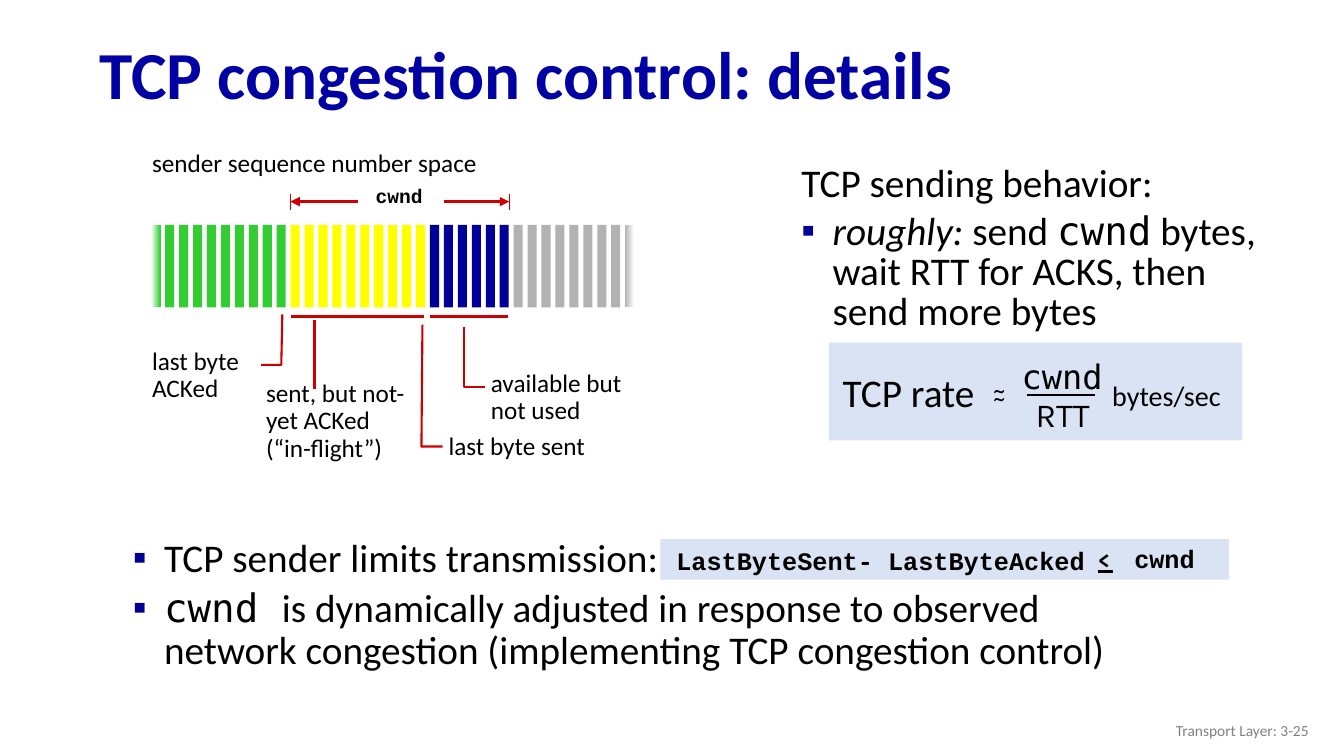
from dataclasses import dataclass
from lxml import etree
from pptx import Presentation
from pptx.dml.color import RGBColor
from pptx.enum.shapes import MSO_CONNECTOR, MSO_SHAPE
from pptx.enum.text import MSO_ANCHOR, PP_ALIGN
from pptx.oxml.ns import qn
from pptx.util import Inches, Pt

STRAIGHT, RECTANGLE = MSO_CONNECTOR.STRAIGHT, MSO_SHAPE.RECTANGLE
TOP, MIDDLE = MSO_ANCHOR.TOP, MSO_ANCHOR.MIDDLE
LEFT, CENTER, RIGHT = PP_ALIGN.LEFT, PP_ALIGN.CENTER, PP_ALIGN.RIGHT

BLACK = RGBColor(0x00, 0x00, 0x00)
WHITE = RGBColor(0xFF, 0xFF, 0xFF)
TITLE_BLUE = RGBColor(0x00, 0x00, 0xA3)
NAVY = RGBColor(0x00, 0x00, 0x99)
GREEN = RGBColor(0x33, 0xCC, 0x33)
YELLOW = RGBColor(0xFF, 0xFF, 0x00)
SILVER = RGBColor(0xB2, 0xB2, 0xB2)
GRAY = RGBColor(0x80, 0x80, 0x80)
PALE_BLUE = RGBColor(0xDA, 0xE3, 0xF3)
RED = RGBColor(0xCC, 0x00, 0x00)

BODY, CODE, MONO, SYMBOL = "Calibri", "Courier New", "DejaVu Sans Mono", "Karla"
CELL = Inches(0.1)


@dataclass
class Region:
    """A box on the slide, measured in grid cells."""
    shapes: object
    left: float
    top: float
    width: float
    height: float

    def point(self, x, y):
        """Turn a cell position inside the region into slide lengths."""
        return round((self.left + x) * CELL), round((self.top + y) * CELL)

    def frame(self, x, y, width, height):
        """Turn a box of cells inside the region into slide lengths."""
        return *self.point(x, y), round(width * CELL), round(height * CELL)


def add_bullet(paragraph):
    """Put a square navy bullet on a paragraph with a hanging indent."""
    properties = paragraph._p.get_or_add_pPr()
    properties.set("marL", str(Inches(0.31)))
    properties.set("indent", str(-Inches(0.31)))
    color = etree.SubElement(properties, qn("a:buClr"))
    etree.SubElement(color, qn("a:srgbClr"), val=str(NAVY))
    etree.SubElement(properties, qn("a:buFont"), typeface="Wingdings 2")
    properties[-1].set("typeface", "Arial")
    etree.SubElement(properties, qn("a:buChar"), char="▪")


def format_font(font, size, name, color, bold=False, italic=False):
    """Set the look of a font."""
    font.size, font.name, font.bold, font.italic = Pt(size), name, bold, italic
    font.color.rgb = color


def add_label(region, box, text, size=18, font=BODY, color=BLACK, bold=False,
              align=LEFT, anchor=TOP, spacing=1.0, wrap=True):
    """Add text in one style, one paragraph a line."""
    frame = region.shapes.add_textbox(*region.frame(*box)).text_frame
    frame.word_wrap, frame.vertical_anchor = wrap, anchor
    frame.text = text
    for paragraph in frame.paragraphs:
        paragraph.alignment, paragraph.line_spacing = align, spacing
        for run in paragraph.runs:
            format_font(run.font, size, font, color, bold)


def add_points(region, box, points, spacing):
    """Add paragraphs given as (bulleted, runs), each run (text, font, italic)."""
    frame = region.shapes.add_textbox(*region.frame(*box)).text_frame
    frame.word_wrap = True
    for index, (bulleted, runs) in enumerate(points):
        paragraph = frame.add_paragraph() if index else frame.paragraphs[0]
        if bulleted:
            add_bullet(paragraph)
        paragraph.line_spacing = spacing
        paragraph.space_before = Pt(5.6 if index else 0)
        for text, font, italic in runs:
            run = paragraph.add_run()
            run.text = text
            format_font(run.font, 28, font, BLACK, italic=italic)


def add_block(region, box, color):
    """Add a plain rectangle without outline."""
    block = region.shapes.add_shape(RECTANGLE, *region.frame(*box))
    block.shadow.inherit = False
    block.line.fill.background()
    block.fill.solid()
    block.fill.fore_color.rgb = color
    return block


def fade(block, start, end):
    """Fill a block with a gradient from left to right."""
    block.fill.gradient()
    block.fill.gradient_angle = 0
    for stop, color in zip(block.fill.gradient_stops, (start, end)):
        stop.color.rgb = color


def add_line(region, start, end, color, width, arrow=False):
    """Add a straight line, with an arrowhead at its end if asked."""
    line = region.shapes.add_connector(STRAIGHT, *region.point(*start), *region.point(*end))
    line.line.color.rgb, line.line.width = color, Pt(width)
    if arrow:
        etree.SubElement(line.line._get_or_add_ln(), qn("a:tailEnd"), type="triangle")
    etree.SubElement(line._element.spPr, qn("a:effectLst"))


def add_pointer(region, start, corner, end):
    """Add a red bent line that leads to a label."""
    builder = region.shapes.build_freeform(*region.point(*start))
    builder.add_line_segments([region.point(*corner), region.point(*end)], close=False)
    pointer = builder.convert_to_shape()
    pointer.shadow.inherit = False
    pointer.fill.background()
    pointer.line.color.rgb, pointer.line.width = RED, Pt(1.5)


def draw_title(region):
    """Write the slide title."""
    add_label(region, (0, 0, region.width, region.height), "TCP congestion control: details",
              48, color=TITLE_BLUE, bold=True, anchor=MIDDLE, spacing=0.9)


def draw_sequence_bars(region):
    """Draw the row of bytes, faded at both ends."""
    colors = [GREEN] * 10 + [YELLOW] * 10 + [NAVY] * 6 + [SILVER] * 9
    bar_width = 0.9
    step = (region.width - bar_width) / (len(colors) - 1)
    bars = [add_block(region, (i * step, 0, bar_width, region.height), color)
            for i, color in enumerate(colors)]
    fade(bars[0], WHITE, GREEN)
    fade(bars[-1], SILVER, WHITE)


def draw_sequence_space(region):
    """Draw the sender sequence number space with its window and labels."""
    add_label(region, (0, 0, 35.2, 4), "sender sequence number space", wrap=False)
    draw_sequence_bars(Region(region.shapes, region.left + 0.9, region.top + 8.2, 47.9, 8.2))

    add_label(region, (21.1, 3.9, 8.8, 3.8), "cwnd", 14, CODE, bold=True,
              align=CENTER, spacing=0.9, wrap=False)
    for inner, outer in ((21.4, 14.7), (29.9, 36.4)):
        add_line(region, (inner, 5.9), (outer, 5.9), RED, 2.25, arrow=True)
        add_line(region, (outer, 5.1), (outer, 6.7), RED, 0.75)

    for start, end in ((14.8, 28), (28.6, 36.3)):
        add_line(region, (start, 17.3), (end, 17.3), RED, 2.25)
    add_line(region, (17.1, 17.6), (17.1, 24.5), RED, 1.5)
    add_pointer(region, (13.9, 17.1), (13.8, 22.1), (11.8, 22.1))
    add_pointer(region, (27.8, 18.1), (27.7, 30.2), (29.8, 30.2))
    add_pointer(region, (31.9, 18.3), (31.9, 24.3), (34, 24.3))

    for box, text in (
        ((0, 20, 10.8, 6.5), "last byte\nACKed"),
        ((11.3, 23.2, 18.2, 9.2), "sent, but not-yet ACKed\n(“in-flight”)"),
        ((29.4, 28.4, 17.5, 3.7), "last byte sent"),
        ((33.6, 22.2, 17.5, 6.5), "available but not used"),
    ):
        add_label(region, box, text, spacing=0.9)


def draw_rate_formula(region):
    """Write the TCP rate as a fraction on a pale panel."""
    add_block(region, (0, 0, region.width, region.height), PALE_BLUE)
    for box, text, size, font in (
        ((0.3, 2, 15.2, 5.7), "TCP rate", 28, BODY),
        ((11.8, 2.6, 10.2, 4), "~", 18, SYMBOL),
        ((11.8, 3.4, 10.2, 4), "~", 18, SYMBOL),
        ((18.1, 0.8, 10.1, 5.1), "cwnd", 24, MONO),
        ((19.2, 4.6, 8, 5.1), "RTT", 24, SYMBOL),
        ((27, 3.1, 13, 4.4), "bytes/sec", 20, BODY),
    ):
        add_label(region, box, text, size, font, align=CENTER, wrap=False)
    add_line(region, (19.7, 5.2), (26.4, 5.2), BLACK, 1.5)


def draw_sending_behavior(region):
    """Write how TCP sends, with the rate below."""
    add_points(region, (0, 0, region.width, region.height), [
        (False, [("TCP sending behavior:", BODY, False)]),
        (True, [("roughly:", BODY, True), (" send ", BODY, False), ("cwnd", MONO, False),
                (" bytes, wait RTT for ACKS, then send more bytes", BODY, False)]),
    ], 0.85)
    draw_rate_formula(Region(region.shapes, region.left + 3.7, region.top + 18.1, 41, 9.7))


def draw_transmission_limit(region):
    """Write the two closing points and the limit on unacknowledged bytes."""
    add_block(region, (53.3, 0.6, 56.4, 4), PALE_BLUE)
    add_points(region, (0, 0, region.width, region.height), [
        (True, [("TCP sender limits transmission:", BODY, False)]),
        (True, [("cwnd ", MONO, False),
                ("is dynamically adjusted in response to observed network congestion "
                 "(implementing TCP congestion control)", BODY, False)]),
    ], 0.9)
    add_label(region, (53.9, 1.2, 48.1, 3.7), "LastByteSent- LastByteAcked",
              font=CODE, bold=True, spacing=0.85)
    add_label(region, (95.4, 0.8, 3.8, 3.7), "<", 16, SYMBOL, bold=True,
              align=CENTER, wrap=False)
    add_line(region, (96.7, 3.8), (98.2, 3.8), BLACK, 1.5)
    add_label(region, (99.3, 0.5, 8, 4), "cwnd", font=CODE, bold=True,
              align=CENTER, wrap=False)


def draw_footer(region):
    """Write the chapter and page."""
    add_label(region, (0, 0, region.width, region.height), "Transport Layer: 3-25", 11,
              color=GRAY, align=RIGHT, anchor=MIDDLE)


def main():
    """Build the slide and save it."""
    deck = Presentation()
    deck.slide_width, deck.slide_height = Inches(13.33), Inches(7.5)
    shapes = deck.slides.add_slide(deck.slide_layouts[6]).shapes
    draw_title(Region(shapes, 8.9, 2.8, 124, 9.8))
    draw_sequence_space(Region(shapes, 14.1, 14.1, 51.1, 32.4))
    draw_sending_behavior(Region(shapes, 78.5, 15.9, 50.2, 26.8))
    draw_transmission_limit(Region(shapes, 12.2, 52.9, 105.3, 18.5))
    draw_footer(Region(shapes, 100.8, 70.5, 30, 4))
    deck.save("out.pptx")


if __name__ == "__main__":
    main()
